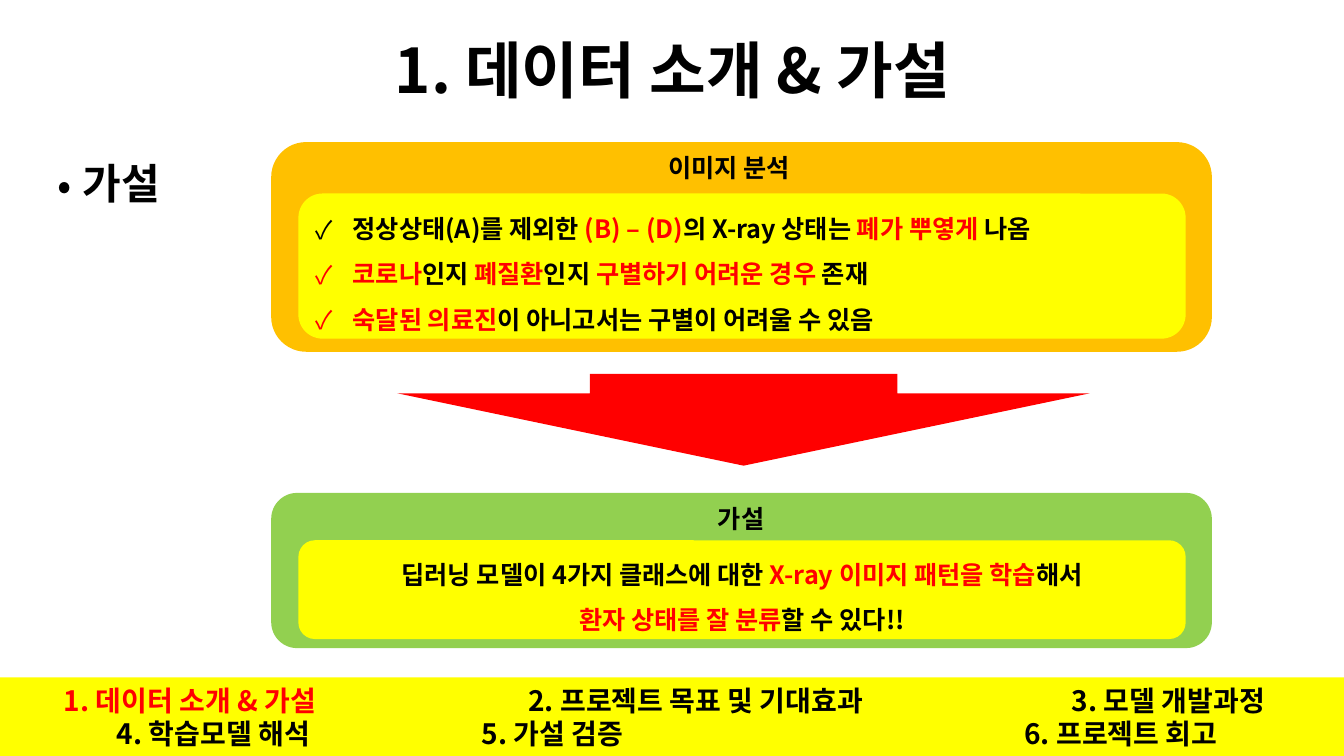
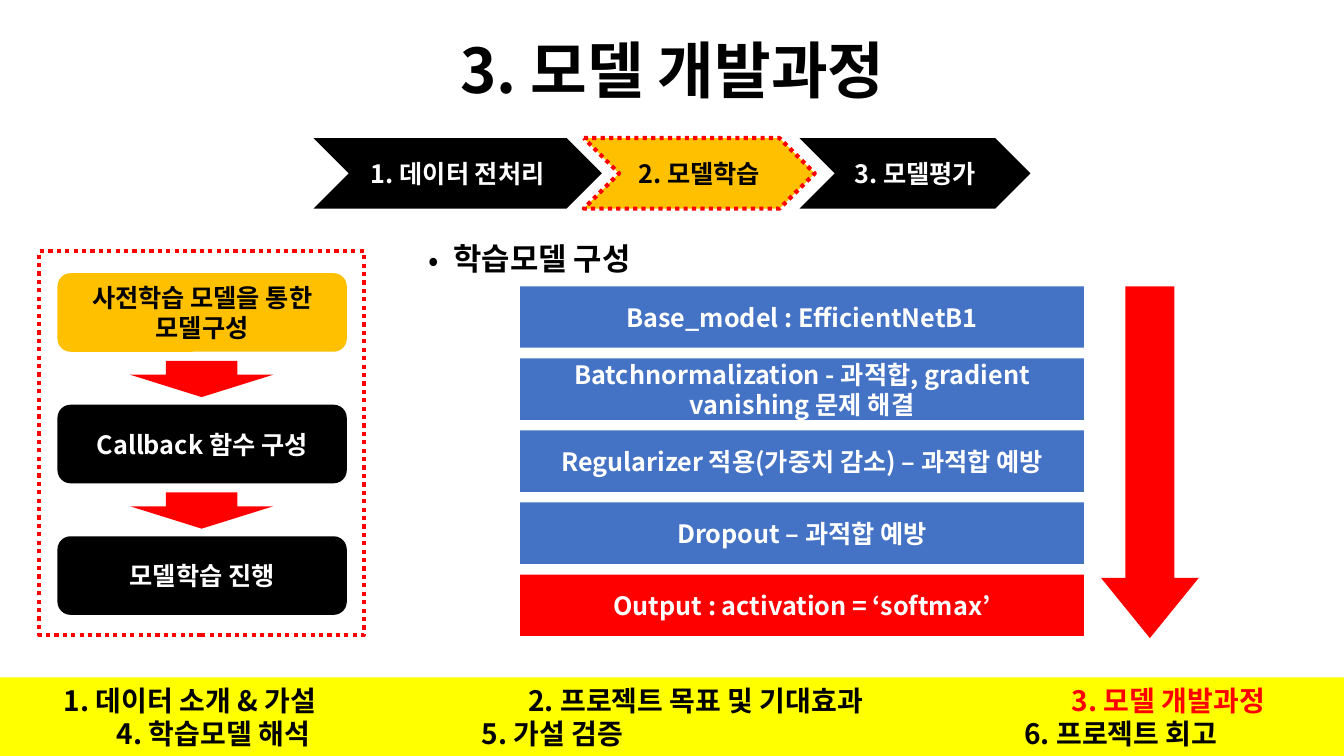
from lxml import etree
from pptx import Presentation
from pptx.dml.color import RGBColor
from pptx.enum.dml import MSO_LINE
from pptx.enum.shapes import MSO_SHAPE
from pptx.enum.text import MSO_ANCHOR, MSO_AUTO_SIZE, PP_ALIGN
from pptx.oxml.ns import qn
from pptx.util import Inches, Pt

RECT = MSO_SHAPE.RECTANGLE
ROUND = MSO_SHAPE.ROUNDED_RECTANGLE
ARROW = MSO_SHAPE.DOWN_ARROW
CHEVRON = MSO_SHAPE.CHEVRON
DOTS = MSO_LINE.ROUND_DOT
MID, TOP = MSO_ANCHOR.MIDDLE, MSO_ANCHOR.TOP
LEFT, CENTER = PP_ALIGN.LEFT, PP_ALIGN.CENTER
FIXED = MSO_AUTO_SIZE.NONE

FONT = "Noto Sans CJK KR"
COLORS = {
    "black": "000000", "white": "FFFFFF", "red": "FF0000", "yellow": "FFFF00",
    "orange": "FFC000", "green": "92D050", "blue": "4472C4",
}
TOPICS = [
    "1. 데이터 소개 & 가설", "2. 프로젝트 목표 및 기대효과", "3. 모델 개발과정",
    "4. 학습모델 해석", "5. 가설 검증", "6. 프로젝트 회고",
]
TABS = [(0.63, 5.24, 10.63), (1.16, 4.78, 10.16)]


def rgb(name):
    return RGBColor.from_string(COLORS[name])


def box(at):
    return [Inches(n) for n in at]


def put(frame, lines, size=18, color="black", align=CENTER, space=1.0, anchor=MID):
    """Text between asterisks is red."""
    frame.word_wrap = True
    frame.auto_size = FIXED
    frame.vertical_anchor = anchor
    for i, line in enumerate(lines):
        para = frame.paragraphs[0] if i == 0 else frame.add_paragraph()
        para.alignment = align
        para.line_spacing = space
        for j, part in enumerate(line.split("*")):
            if part:
                run = para.add_run()
                run.text = part
                font = run.font
                font.size, font.bold, font.name = Pt(size), True, FONT
                font.color.rgb = rgb("red" if j % 2 else color)
                props = run._r.get_or_add_rPr()
                etree.SubElement(props, qn("a:ea"), typeface=FONT)


def bullet(para, mark, indent):
    props = para._p.get_or_add_pPr()
    props.set("marL", str(Inches(indent)))
    props.set("indent", str(-Inches(indent)))
    etree.SubElement(props, qn("a:buFont"), typeface=FONT)
    etree.SubElement(props, qn("a:buChar"), char=mark)


def stops(para, places):
    tabs = etree.SubElement(para._p.get_or_add_pPr(), qn("a:tabLst"))
    for place in places:
        etree.SubElement(tabs, qn("a:tab"), pos=str(Inches(place)), algn="l")


def shape(slide, kind, at, fill=None, dots=False, adjust=()):
    item = slide.shapes.add_shape(kind, *box(at))
    item.shadow.inherit = False
    if fill:
        item.fill.solid()
        item.fill.fore_color.rgb = rgb(fill)
    else:
        item.fill.background()
    if dots:
        item.line.color.rgb = rgb("red")
        item.line.width = Pt(3)
        item.line.dash_style = DOTS
    else:
        item.line.fill.background()
    for i, value in enumerate(adjust):
        item.adjustments[i] = value
    return item


def label(slide, kind, at, fill, text, dots=False):
    item = shape(slide, kind, at, fill, dots)
    put(item.text_frame, [text], color="black" if fill == "orange" else "white")


def arrow(slide, at, adjust=(0.5, 0.616)):
    shape(slide, ARROW, at, "red", adjust=adjust)


def holder(item, at):
    item.left, item.top, item.width, item.height = box(at)
    return item.text_frame


def band(slide, topic):
    frame = shape(slide, RECT, (0, 6.72, 13.33, 0.78), "yellow").text_frame
    frame.margin_left = frame.margin_right = 0
    cells = [f"\t*{t}*" if t == topic else f"\t{t}" for t in TOPICS]
    put(frame, ["".join(cells[:3]), "".join(cells[3:])], 20, align=LEFT)
    for para, places in zip(frame.paragraphs, TABS):
        stops(para, places)


def page(deck, topic, point, at, size):
    slide = deck.slides.add_slide(deck.slide_layouts[1])
    title = holder(slide.shapes.title, (0.92, 0, 11.5, 1.45))
    put(title, [topic], 44, space=0.9)
    body = holder(slide.placeholders[1], at)
    put(body, [point], size, align=LEFT, space=1.1, anchor=TOP)
    para = body.paragraphs[0]
    para.space_before = Pt(10)
    bullet(para, "•", 0.25)
    band(slide, topic)
    return slide


def panel(slide, top, height, fill, head, left, inner, lines, align):
    shape(slide, ROUND, (2.69, top, 9.33, height), fill)
    card = shape(slide, ROUND, (2.96, inner[0], 8.8, inner[1]), "yellow")
    put(card.text_frame, lines, align=align, space=1.5)
    name = slide.shapes.add_textbox(*box((left, top + 0.05, 2.94, 0.4)))
    put(name.text_frame, [head], anchor=TOP)
    return card.text_frame


def theory(deck):
    slide = page(deck, TOPICS[0], "가설", (0.47, 1.46, 12.27, 4.98), 30)
    facts = panel(slide, 1.41, 2.08, "orange", "이미지 분석", 5.76, (1.92, 1.44), [
        "정상상태(A)를 제외한 *(B) – (D)*의 X-ray 상태는 *폐가 뿌옇게* 나옴",
        "*코로나*인지 *폐질환*인지 *구별하기 어려운 경우* 존재",
        "*숙달된 의료진*이 아니고서는 구별이 어려울 수 있음",
    ], LEFT)
    for para in facts.paragraphs:
        bullet(para, "✓", 0.37)
    panel(slide, 4.89, 1.54, "green", "가설", 5.88, (5.36, 0.98), [
        "딥러닝 모델이 4가지 클래스에 대한 *X-ray 이미지 패턴을 학습*해서",
        "*환자 상태를 잘 분류*할 수 있다!!",
    ], CENTER)
    arrow(slide, (3.94, 3.71, 6.87, 0.91), (0.444, 0.789))


def model(deck):
    slide = page(deck, TOPICS[2], "학습모델 구성", (4.15, 2.29, 8.94, 3.91), 22)
    for left, width, fill, text in [
        (3.11, 2.86, "black", "1. 데이터 전처리"),
        (5.79, 2.29, "orange", "2. 모델학습"),
        (7.93, 2.29, "black", "3. 모델평가"),
    ]:
        label(slide, CHEVRON, (left, 1.37, width, 0.7), fill, text, fill == "orange")

    shape(slide, RECT, (0.39, 2.49, 3.22, 3.81), dots=True)
    steps = ["사전학습 모델을 통한 모델구성", "Callback 함수 구성", "모델학습 진행"]
    for i, text in enumerate(steps):
        top = 2.71 + i * 1.305
        label(slide, ROUND, (0.57, top, 2.87, 0.78), "black" if i else "orange", text)
        if i < len(steps) - 1:
            arrow(slide, (1.29, top + 0.87, 1.42, 0.36))

    layers = [
        "Base_model : EfficientNetB1",
        "Batchnormalization - 과적합, gradient vanishing 문제 해결",
        "Regularizer 적용(가중치 감소) – 과적합 예방",
        "Dropout – 과적합 예방",
        "Output : activation = ‘softmax’",
    ]
    for i, text in enumerate(layers):
        fill = "red" if text == layers[-1] else "blue"
        label(slide, RECT, (5.16, 2.84 + i * 0.715, 5.59, 0.61), fill, text)
    arrow(slide, (10.92, 2.84, 0.97, 3.49))


def main():
    deck = Presentation()
    deck.slide_width, deck.slide_height = Inches(13.33), Inches(7.5)
    theory(deck)
    model(deck)
    deck.save("out.pptx")


if __name__ == "__main__":
    main()
